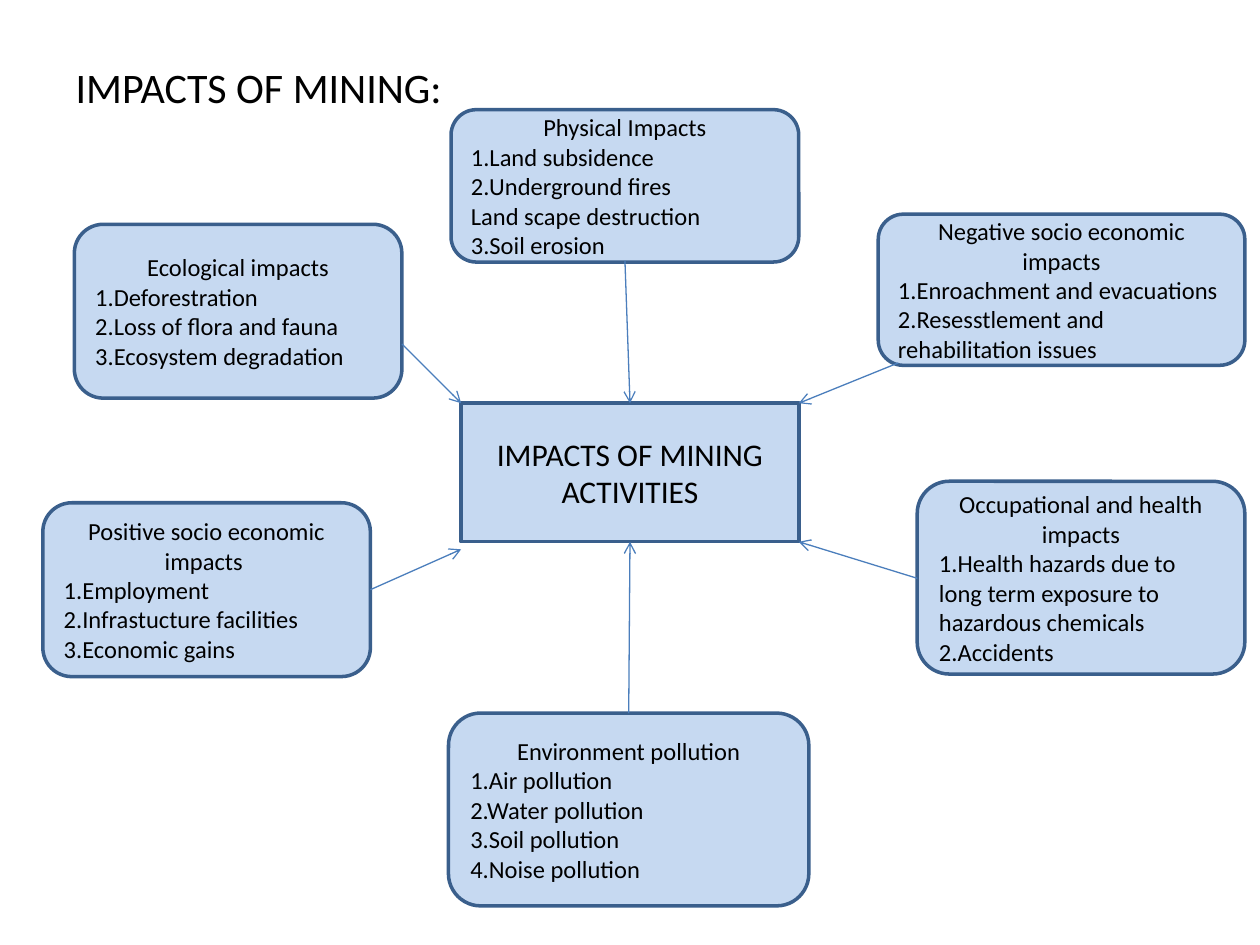
"""Build the slide on the impacts of mining: a hub, six boxes and arrows."""
from lxml import etree
from pptx import Presentation
from pptx.dml.color import RGBColor
from pptx.enum.shapes import MSO_CONNECTOR, MSO_SHAPE
from pptx.enum.text import MSO_ANCHOR, PP_ALIGN
from pptx.oxml.ns import qn
from pptx.util import Inches, Pt

RECT, ROUND = MSO_SHAPE.RECTANGLE, MSO_SHAPE.ROUNDED_RECTANGLE
LINE = MSO_CONNECTOR.STRAIGHT
LEFT, CENTER = PP_ALIGN.LEFT, PP_ALIGN.CENTER
MIDDLE = MSO_ANCHOR.MIDDLE


def color(code):
    return RGBColor.from_string(code)


def write(shape, text, size, aligns):
    frame = shape.text_frame
    frame.text = text
    frame.word_wrap = True
    frame.vertical_anchor = MIDDLE
    for i, para in enumerate(frame.paragraphs):
        para.alignment = aligns[min(i, len(aligns) - 1)]
        for run in para.runs:
            run.font.name = "Calibri"
            run.font.size = Pt(size)
            run.font.color.rgb = color("000000")


prs = Presentation()
prs.slide_width, prs.slide_height = Inches(10), Inches(7.5)
slide = prs.slides.add_slide(prs.slide_layouts[5])

title = slide.shapes.title
title.left, title.top = Inches(0.5), Inches(0.3)
title.width, title.height = Inches(3.87), Inches(0.77)
write(title, "IMPACTS OF MINING:", 24, [LEFT])

heads = [CENTER, LEFT]
boxes = [
    (RECT, (3.66, 3.2, 2.68, 1.1), 18, [CENTER],
     "IMPACTS OF MINING\nACTIVITIES"),
    (ROUND, (0.59, 1.78, 2.6, 1.38), 14, heads,
     "Ecological impacts\n1.Deforestration\n2.Loss of flora and fauna\n"
     "3.Ecosystem degradation"),
    (ROUND, (6.97, 1.7, 2.91, 1.2), 14, heads,
     "Negative socio economic impacts\n1.Enroachment and evacuations\n"
     "2.Resesstlement and rehabilitation issues"),
    (ROUND, (3.56, 5.66, 2.86, 1.53), 14, heads,
     "Environment pollution\n1.Air pollution\n2.Water pollution\n"
     "3.Soil pollution\n4.Noise pollution"),
    (ROUND, (3.58, 0.87, 2.76, 1.21), 14, heads,
     "Physical Impacts\n1.Land subsidence\n2.Underground fires\n"
     "Land scape destruction\n3.Soil erosion"),
    (ROUND, (0.34, 3.99, 2.6, 1.38), 14, heads,
     "Positive socio economic impacts \n1.Employment\n"
     "2.Infrastucture facilities\n3.Economic gains"),
    (ROUND, (7.28, 3.82, 2.6, 1.53), 14, heads,
     "Occupational and health impacts\n1.Health hazards due to long term "
     "exposure to hazardous chemicals\n2.Accidents"),
]
for kind, place, size, aligns, text in boxes:
    box = slide.shapes.add_shape(kind, *map(Inches, place))
    box.shadow.inherit = False
    box.fill.solid()
    box.fill.fore_color.rgb = color("C6D9F1")
    box.line.color.rgb = color("3A5F8C")
    box.line.width = Pt(2)
    write(box, text, size, aligns)

arrows = [
    (3.19, 2.73, 3.66, 3.2),
    (4.96, 2.07, 5, 3.2),
    (7.13, 2.88, 6.34, 3.2),
    (7.28, 4.59, 6.34, 4.3),
    (2.94, 4.68, 3.66, 4.36),
    (4.99, 5.66, 5, 4.3),
]
for ends in arrows:
    arrow = slide.shapes.add_connector(LINE, *map(Inches, ends))
    arrow.line.color.rgb = color("4B7EBC")
    arrow.line.width = Pt(0.75)
    tail = etree.SubElement(arrow.line._get_or_add_ln(), qn("a:tailEnd"))
    tail.set("type", "arrow")
    etree.SubElement(arrow._element.spPr, qn("a:effectLst"))

prs.save("out.pptx")
